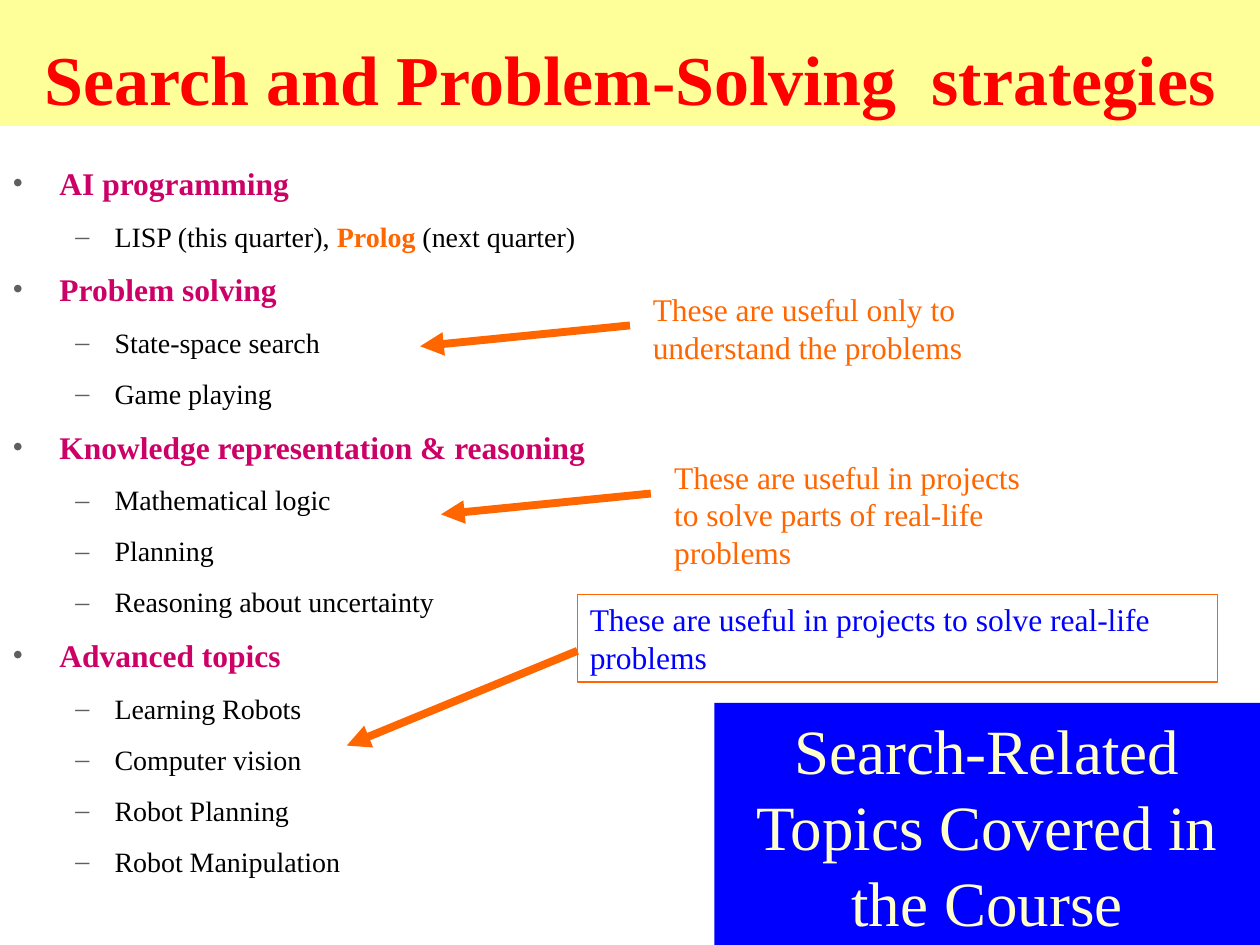
from lxml.etree import SubElement
from pptx import Presentation
from pptx.dml.color import RGBColor
from pptx.enum.shapes import MSO_CONNECTOR, MSO_SHAPE
from pptx.enum.text import MSO_ANCHOR, MSO_AUTO_SIZE, PP_ALIGN
from pptx.oxml.ns import qn
from pptx.util import Cm, Pt

ORANGE = "FF6600"
BLUE = "0000FF"
MAGENTA = "CC0066"


def paint(target, color):
    if hasattr(target, "solid"):
        target.solid()
        target = target.fore_color
    target.rgb = RGBColor.from_string(color)


def add_text(para, text, size=18, color="000000", bold=False, align=PP_ALIGN.LEFT):
    para.alignment = align
    span = para.add_run()
    span.text = text
    span.font.name = "Times New Roman"
    span.font.size = Pt(size)
    span.font.bold = bold
    paint(span.font.color, color)


deck = Presentation()
deck.slide_width, deck.slide_height = Cm(25.4), Cm(19.05)
page = deck.slides.add_slide(deck.slide_layouts[5])

title = page.shapes.title
title.left, title.top, title.width, title.height = Cm(14.4), Cm(14.17), Cm(11), Cm(4.88)
paint(title.fill, BLUE)
title.text_frame.word_wrap = True
title.text_frame.auto_size = MSO_AUTO_SIZE.NONE
title.text_frame.vertical_anchor = MSO_ANCHOR.BOTTOM
add_text(title.text_frame.paragraphs[0], "Search-Related Topics Covered in the Course",
         size=36, color="FFFFCC", align=PP_ALIGN.CENTER)

topics = [
    ("AI programming", [["LISP (this quarter), ", "Prolog", " (next quarter)"]]),
    ("Problem solving", [["State-space search"], ["Game playing"]]),
    ("Knowledge representation & reasoning",
     [["Mathematical logic"], ["Planning"], ["Reasoning about uncertainty"]]),
    ("Advanced topics",
     [["Learning Robots"], ["Computer vision"], ["Robot Planning"], ["Robot Manipulation"]]),
]
outline = page.shapes.add_textbox(Cm(0), Cm(3.18), Cm(25.4), Cm(15.03)).text_frame
outline.word_wrap = True
lines = [line for heading, items in topics
         for line in [(0, [heading])] + [(1, item) for item in items]]
for index, (level, parts) in enumerate(lines):
    para = outline.add_paragraph() if index else outline.paragraphs[0]
    para.level = level
    para.space_before = Pt(5 if index else 0)
    para.space_after = Pt(5)
    margin, hanging, mark = [(0.95, 0.95, "•"), (2.06, 0.79, "–")][level]
    properties = para._p.get_or_add_pPr()
    properties.set("marL", str(Cm(margin)))
    properties.set("indent", str(-Cm(hanging)))
    mark_color = SubElement(properties, qn("a:buClr"))
    SubElement(mark_color, qn("a:srgbClr"), val="5F5F5F")
    SubElement(properties, qn("a:buFont"), typeface="Times New Roman")
    SubElement(properties, qn("a:buChar"), char=mark)
    for part in parts:
        if level == 0:
            add_text(para, part, color=MAGENTA, bold=True)
        elif part == "Prolog":
            add_text(para, part, size=16, color=ORANGE, bold=True)
        else:
            add_text(para, part, size=16)

banner = page.shapes.add_shape(MSO_SHAPE.RECTANGLE, Cm(0), Cm(0), Cm(25.4), Cm(2.54))
banner.shadow.inherit = False
paint(banner.fill, "FFFF99")
banner.line.fill.background()
banner.text_frame.word_wrap = True
banner.text_frame.vertical_anchor = MSO_ANCHOR.BOTTOM
add_text(banner.text_frame.paragraphs[0], "Search and Problem-Solving  strategies",
         size=40, color="FF0000", bold=True, align=PP_ALIGN.CENTER)

arrows = [
    (12.7, 6.56, 8.47, 6.98),
    (13.12, 9.95, 8.89, 10.37),
    (11.64, 13.12, 6.99, 15.03),
]
for ends in arrows:
    arrow = page.shapes.add_connector(MSO_CONNECTOR.STRAIGHT, *map(Cm, ends))
    paint(arrow.line.fill, ORANGE)
    arrow.line.width = Pt(4.5)
    SubElement(arrow.line._get_or_add_ln(), qn("a:tailEnd"), type="triangle")
    SubElement(arrow._element.spPr, qn("a:effectLst"))

remarks = [
    ("These are useful only to understand the problems", 12.91, 5.72, 7.83, 1.77, ORANGE),
    ("These are useful in projects to solve parts of real-life problems",
     13.34, 9.1, 7.83, 2.54, ORANGE),
    ("These are useful in projects to solve real-life problems",
     11.64, 11.98, 12.91, 1.77, BLUE),
]
for text, left, top, width, height, color in remarks:
    remark = page.shapes.add_textbox(Cm(left), Cm(top), Cm(width), Cm(height))
    remark.text_frame.word_wrap = True
    remark.text_frame.auto_size = MSO_AUTO_SIZE.SHAPE_TO_FIT_TEXT
    add_text(remark.text_frame.paragraphs[0], text, color=color)
    if color == BLUE:
        paint(remark.line.fill, ORANGE)
        remark.line.width = Pt(0.75)

deck.save("out.pptx")
